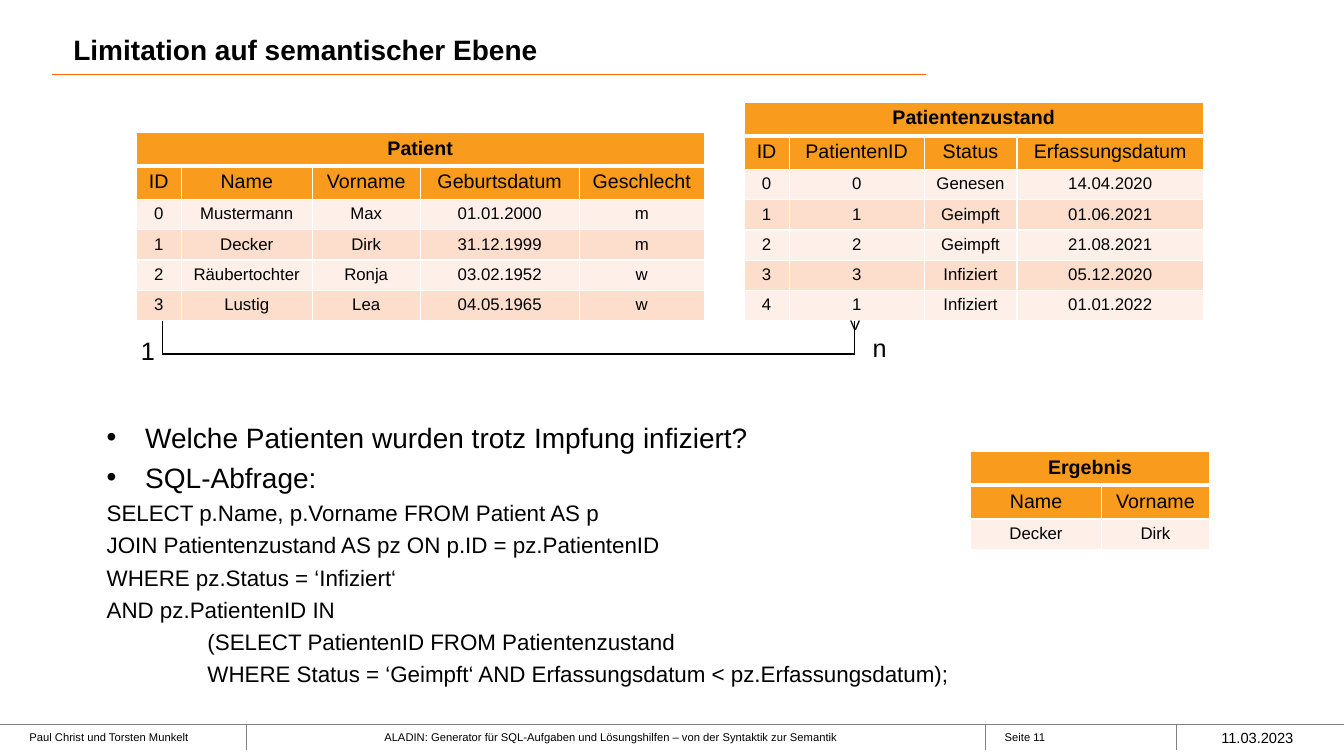
from dataclasses import dataclass
from itertools import chain

from lxml.etree import SubElement
from pptx import Presentation
from pptx.dml.color import RGBColor as Rgb
from pptx.enum.shapes import MSO_CONNECTOR as Link
from pptx.enum.text import MSO_ANCHOR as Anchor, PP_ALIGN as Align
from pptx.oxml.ns import qn
from pptx.util import Cm, Pt


@dataclass(frozen=True)
class Theme:
    font: str = "Arial"
    ink: str = "000000"
    paper: str = "FFFFFF"
    grey: str = "808080"
    rule: str = "FF6600"
    head: str = "F99B1C"
    bands: tuple = ("FEEFE8", "FDDECD")
    title: float = 20
    point: float = 20
    mark: float = 18
    code: float = 16
    label: float = 14
    cell: float = 12
    date: float = 10.5
    foot: float = 8


T = Theme()


def style(para, size, bold=False, align=Align.LEFT):
    para.alignment = align
    font = para.font
    font.name, font.size, font.bold = T.font, Pt(size), bold
    font.color.rgb = Rgb.from_string(T.ink)


def frame(slide, box):
    shape = slide.shapes.add_textbox(*map(Cm, box))
    shape.text_frame.word_wrap = True
    return shape


def label(slide, box, text, size, bold=False, align=Align.LEFT, anchor=Anchor.TOP):
    shape = frame(slide, box)
    body = shape.text_frame
    body.vertical_anchor = anchor
    body.text = text
    style(body.paragraphs[0], size, bold, align)
    return shape


def line(slide, start, end, color):
    link = slide.shapes.add_connector(Link.STRAIGHT, *map(Cm, chain(start, end)))
    link.line.color.rgb = Rgb.from_string(color)
    link.line.width = Pt(0.75)
    SubElement(link._element.spPr, qn("a:effectLst"))


def border(cell, top, bottom):
    props = cell._tc.get_or_add_tcPr()
    for side, width in (("L", 1), ("R", 1), ("T", top), ("B", bottom)):
        edge = SubElement(props, qn(f"a:ln{side}"), w=str(Pt(width)))
        fill = SubElement(edge, qn("a:solidFill"))
        SubElement(fill, qn("a:srgbClr"), val=T.paper)


def table(slide, spot, widths, high, low, name, rows):
    tall = [high, high] + [low] * (len(rows) - 1)
    box = (*spot, sum(widths), sum(tall))
    grid = slide.shapes.add_table(len(tall), len(widths), *map(Cm, box)).table
    grid.first_row = grid.horz_banding = False
    for col, width in zip(grid.columns, widths):
        col.width = Cm(width)
    blank = [""] * (len(widths) - 1)
    for i, texts in enumerate([[name, *blank], *rows]):
        grid.rows[i].height = Cm(tall[i])
        for j, text in enumerate(texts):
            cell = grid.cell(i, j)
            border(cell, 3 if i == 1 else 1, 3 if i == 0 else 1)
            cell.fill.solid()
            color = T.head if i < 2 else T.bands[i % 2]
            cell.fill.fore_color.rgb = Rgb.from_string(color)
            cell.text = text
            size = T.label if i < 2 else T.cell
            style(cell.text_frame.paragraphs[0], size, i == 0, Align.CENTER)
    grid.cell(0, 0).merge(grid.cell(0, len(widths) - 1))


def header(slide, box, text):
    x, y, w, h = box
    line(slide, (x - 0.28, y + 1.37), (x + w - 0.13, y + 1.37), T.rule)
    label(slide, box, text, T.title, bold=True, anchor=Anchor.MIDDLE)


def footer(slide, box):
    x, y, w, h = box
    line(slide, (x, y), (x + w, y), T.grey)
    for dx in (6.22, 24.84, 29.64):
        line(slide, (x + dx, y), (x + dx, y + h), T.grey)
    parts = (
        (0.74, 4.6, "Paul Christ und Torsten Munkelt", Align.LEFT),
        (6.65, 17.75, "ALADIN: Generator für SQL-Aufgaben und Lösungshilfen"
         " – von der Syntaktik zur Semantik", Align.CENTER),
        (25.32, 3.73, "Seite 11", Align.LEFT),
    )
    for dx, wide, text, align in parts:
        spot = (x + dx, y + 0.03, wide, h - 0.03)
        label(slide, spot, text, T.foot, align=align).text_frame.margin_left = 0
    label(slide, (x + 30.53, y + 0.03, 3, h - 0.03), "11.03.2023", T.date,
          anchor=Anchor.MIDDLE)


def bracket(slide, box):
    x, y, w, h = box
    ends = ((x, y), (x, y + h), (x + w, y + h), (x + w, y))
    for start, end in zip(ends, ends[1:]):
        line(slide, start, end, T.ink)
    label(slide, (x - 0.79, y + 0.25, 0.79, 1.02), "1", T.mark)
    label(slide, (x + w + 0.2, y + 0.18, 0.79, 1.02), "n", T.mark)
    fork = label(slide, (x + w - 0.41, y - 0.31, 0.79, 0.86), "<", T.label)
    fork.rotation = 270


def query(slide, box, points, code):
    body = frame(slide, box).text_frame
    lines = [(text, T.point, 0.97, -0.97) for text in points]
    lines += [(text, T.code, 2.54 * deep, 0) for deep, text in code]
    for i, (text, size, left, hang) in enumerate(lines):
        para = body.add_paragraph() if i else body.paragraphs[0]
        para.text = text
        props = para._p.get_or_add_pPr()
        props.set("marL", str(Cm(left)))
        props.set("indent", str(Cm(hang)))
        if hang:
            SubElement(props, qn("a:buFont"), typeface=T.font)
            SubElement(props, qn("a:buChar"), char="•")
        style(para, size)
        if i:
            para.space_before = Pt(0.24 * size)


def main():
    deck = Presentation()
    deck.slide_width, deck.slide_height = Cm(33.87), Cm(19.05)
    slide = deck.slides.add_slide(deck.slide_layouts[6])
    footer(slide, (0, 18.26, 33.87, 0.64))
    header(slide, (1.6, 0.51, 21.87, 1.47), "Limitation auf semantischer Ebene")
    table(slide, (18.75, 2.57), (1.14, 3.4, 2.34, 4.7), 0.85, 0.76, "Patientenzustand", (
        ("ID", "PatientenID", "Status", "Erfassungsdatum"),
        ("0", "0", "Genesen", "14.04.2020"),
        ("1", "1", "Geimpft", "01.06.2021"),
        ("2", "2", "Geimpft", "21.08.2021"),
        ("3", "3", "Infiziert", "05.12.2020"),
        ("4", "1", "Infiziert", "01.01.2022"),
    ))
    table(slide, (3.43, 3.33), (1.14, 3.3, 2.72, 4.01, 3.15), 0.83, 0.73, "Patient", (
        ("ID", "Name", "Vorname", "Geburtsdatum", "Geschlecht"),
        ("0", "Mustermann", "Max", "01.01.2000", "m"),
        ("1", "Decker", "Dirk", "31.12.1999", "m"),
        ("2", "Räubertochter", "Ronja", "03.02.1952", "w"),
        ("3", "Lustig", "Lea", "04.05.1965", "w"),
    ))
    query(slide, (2.44, 10.46, 24.89, 6.81), (
        "Welche Patienten wurden trotz Impfung infiziert?",
        "SQL-Abfrage:",
    ), (
        (0, "SELECT p.Name, p.Vorname FROM Patient AS p"),
        (0, "JOIN Patientenzustand AS pz ON p.ID = pz.PatientenID"),
        (0, "WHERE pz.Status = ‘Infiziert‘"),
        (0, "AND pz.PatientenID IN"),
        (1, "(SELECT PatientenID FROM Patientenzustand"),
        (1, "WHERE Status = ‘Geimpft‘ AND Erfassungsdatum < pz.Erfassungsdatum);"),
    ))
    bracket(slide, (4.09, 8.08, 17.45, 0.84))
    table(slide, (24.46, 11.38), (3.3, 2.72), 0.85, 0.76, "Ergebnis", (
        ("Name", "Vorname"),
        ("Decker", "Dirk"),
    ))
    deck.save("out.pptx")


if __name__ == "__main__":
    main()
